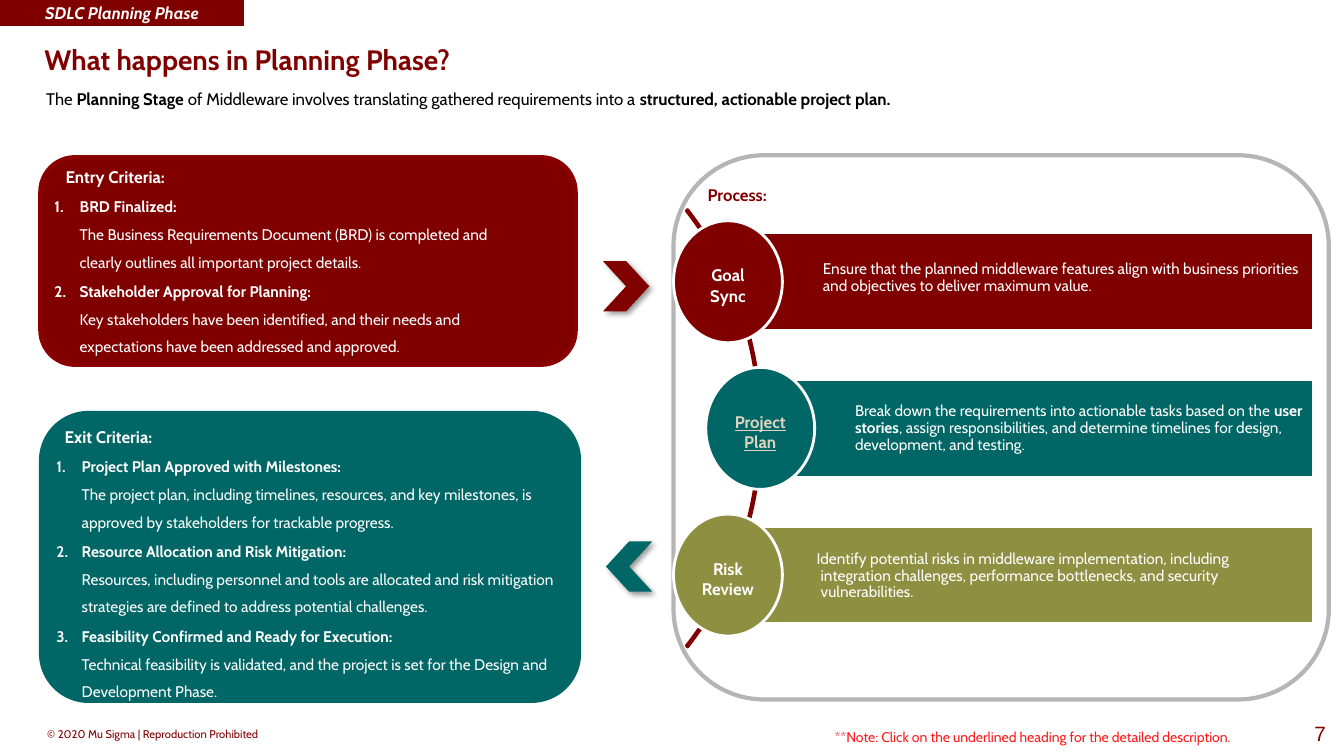
from lxml.etree import SubElement
from pptx import Presentation
from pptx.dml.color import RGBColor
from pptx.enum.shapes import MSO_SHAPE
from pptx.enum.text import MSO_ANCHOR, MSO_AUTO_SIZE, PP_ALIGN
from pptx.oxml.ns import qn
from pptx.util import Inches, Pt

COLORS = {
    "maroon": "800000", "dark_red": "8B0000", "teal": "006666", "olive": "8F8F42",
    "grey": "B5B5B5", "white": "FFFFFF", "off_white": "F2F2F2", "black": "000000",
    "sand": "DED4BF", "red": "FF1A1A",
}

ENTRY = [
    ("BRD Finalized:",
     "The Business Requirements Document (BRD) is completed and clearly outlines all "
     "important project details."),
    ("Stakeholder Approval for Planning:",
     "Key stakeholders have been identified, and their needs and expectations have been "
     "addressed and approved."),
]
EXIT = [
    ("Project Plan Approved with Milestones:",
     "The project plan, including timelines, resources, and key milestones, is approved by "
     "stakeholders for trackable progress."),
    ("Resource Allocation and Risk Mitigation:",
     "Resources, including personnel and tools are allocated and risk mitigation strategies "
     "are defined to address potential challenges."),
    ("Feasibility Confirmed and Ready for Execution:",
     "Technical feasibility is validated, and the project is set for the Design and "
     "Development Phase."),
]
# Each step: heading, colour, heading format, shift right, bar margins (l, t, r, b), hanging, runs
STEPS = [
    ("Goal\nSync", "maroon", {}, 0, (0.94, 0.03, 0.03, 0.1), 0,
     [("Ensure that the planned middleware features align with business priorities and "
       "objectives to deliver maximum value.", {})]),
    ("Project\nPlan", "teal", {"color": "sand", "underline": True}, 0.32,
     (0.94, 0.03, 0.03, 0.03), 0,
     [("Break down the requirements into actionable tasks based on the ", {}),
      ("user stories", {"bold": True}),
      (", assign responsibilities, and determine timelines for design, development, "
       "and testing.", {})]),
    ("Risk\nReview", "olive", {}, 0, (0.92, 0.05, 0.51, 0.03), 0.04,
     [("Identify potential risks in middleware implementation, including integration "
       "challenges, performance bottlenecks, and security vulnerabilities.", {})]),
]


def rgb(name):
    return RGBColor.from_string(COLORS[name])


def add_runs(p, runs, **base):
    """Add (text, format) runs to a paragraph; a newline becomes a line break."""
    for text, extra in runs:
        fmt = {"name": "Cabin", "size": 11, "color": "white", "bold": False, **base, **extra}
        for i, line in enumerate(text.split("\n")):
            if i:
                p.add_line_break()
            r = p.add_run()
            r.text = line
            for key, value in fmt.items():
                if key == "color":
                    r.font.color.rgb = rgb(value)
                else:
                    setattr(r.font, key, Pt(value) if key == "size" else value)


def set_frame(tf, margins=(0.1, 0.05, 0.1, 0.05), anchor=MSO_ANCHOR.TOP):
    tf.word_wrap, tf.auto_size, tf.vertical_anchor = True, MSO_AUTO_SIZE.NONE, anchor
    for side, value in zip(("left", "top", "right", "bottom"), margins):
        setattr(tf, f"margin_{side}", Inches(value))


def set_indent(p, left, first=0):
    pPr = p._p.get_or_add_pPr()
    pPr.set("marL", str(Inches(left)))
    pPr.set("indent", str(Inches(first)))
    return pPr


def add_shape(s, kind, box, fill=None, line=None, width=2):
    sp = s.shapes.add_shape(kind, *map(Inches, box))
    sp.shadow.inherit = False
    if fill:
        sp.fill.solid()
        sp.fill.fore_color.rgb = rgb(fill)
    else:
        sp.fill.background()
    if line:
        sp.line.color.rgb = rgb(line)
        sp.line.width = Pt(width)
    else:
        sp.line.fill.background()
    return sp


def add_label(s, box, runs, align=PP_ALIGN.LEFT, margins=(0.1, 0.05, 0.1, 0.05), **fmt):
    tf = s.shapes.add_textbox(*map(Inches, box)).text_frame
    set_frame(tf, margins)
    tf.paragraphs[0].alignment = align
    add_runs(tf.paragraphs[0], runs, **fmt)


def place(sp, box):
    sp.left, sp.top, sp.width, sp.height = map(Inches, box)


def header(s):
    tag = add_shape(s, MSO_SHAPE.RECTANGLE, (0, 0, 2.42, 0.25), "maroon", "maroon", 0.75)
    set_frame(tag.text_frame, anchor=MSO_ANCHOR.MIDDLE)
    p = tag.text_frame.paragraphs[0]
    p.alignment = PP_ALIGN.CENTER
    add_runs(p, [("SDLC Planning Phase", {})], size=12, bold=True, italic=True)

    title = s.shapes.title
    place(title, (0.34, 0.37, 10.93, 0.44))
    set_frame(title.text_frame, anchor=MSO_ANCHOR.MIDDLE)
    p = title.text_frame.paragraphs[0]
    p.alignment = PP_ALIGN.LEFT
    add_runs(p, [("What happens in Planning Phase?", {})], size=20, color="maroon", bold=True)

    add_label(s, (0.36, 0.83, 12.08, 0.53), [
        ("The ", {}), ("Planning Stage ", {"bold": True}),
        ("of Middleware involves translating gathered requirements into a ", {}),
        ("structured, actionable project plan.", {"bold": True}),
    ], size=12, color="black")


def criteria_card(s, body, box, text_box, heading, items, fill, line, width, indent, number):
    """Rounded card with a heading and a numbered list in a body placeholder."""
    add_shape(s, MSO_SHAPE.ROUNDED_RECTANGLE, box, fill, line, width)
    body.element.getparent().append(body.element)  # bring the list in front of its card
    dx, dy, w, h = text_box
    place(body, (box[0] + dx, box[1] + dy, w, h))
    tf = body.text_frame
    set_frame(tf)
    p = tf.paragraphs[0]
    SubElement(set_indent(p, indent), qn("a:buNone"))
    p.space_before = Pt(0)
    add_runs(p, [(heading, {})], size=12, bold=True)
    for name, detail in items:
        p = tf.add_paragraph()
        pPr = set_indent(p, 0.25, -0.25)
        color = SubElement(pPr, qn("a:buClr"))
        SubElement(color, qn("a:srgbClr"), val=COLORS[number])
        SubElement(pPr, qn("a:buFont"), typeface="+mj-lt")
        SubElement(pPr, qn("a:buAutoNum"), type="arabicPeriod")
        p.line_spacing, p.space_before = 1.5, Pt(1.1)
        add_runs(p, [(name + "\n", {"bold": True}), (detail, {})])


def chevron(s, box, fill, rotation):
    sp = add_shape(s, MSO_SHAPE.CHEVRON, box, fill)
    sp.rotation = rotation
    effects = sp.element.spPr.find(qn("a:effectLst"))
    shadow = SubElement(effects, qn("a:outerShdw"), blurRad=str(Pt(4)), dist=str(Pt(3)),
                        dir="2700000", algn="tl", rotWithShape="0")
    color = SubElement(shadow, qn("a:srgbClr"), val=COLORS["black"])
    SubElement(color, qn("a:alpha"), val="40000")


def process_step(s, x, y, heading, fill, heading_fmt, margins, hanging, runs):
    bar_x = x + 0.54
    bar = add_shape(s, MSO_SHAPE.RECTANGLE, (bar_x, y + 0.12, 13.03 - bar_x, 0.97),
                    fill, "white")
    set_frame(bar.text_frame, margins, MSO_ANCHOR.MIDDLE)
    p = bar.text_frame.paragraphs[0]
    set_indent(p, 0, -hanging)
    if hanging:
        set_indent(p, hanging, -hanging)
        bar.text_frame.margin_left -= Inches(hanging)
    p.alignment, p.line_spacing = PP_ALIGN.LEFT, 0.9
    add_runs(p, runs)

    oval = add_shape(s, MSO_SHAPE.OVAL, (x, y, 1.08, 1.21), fill, "white")
    set_frame(oval.text_frame, (0, 0.12, 0, 0.05), MSO_ANCHOR.MIDDLE)
    p = oval.text_frame.paragraphs[0]
    p.alignment = PP_ALIGN.CENTER
    add_runs(p, [(heading, heading_fmt)], size=12, bold=True)


def process_panel(s, box):
    x, y, _, _ = box
    add_shape(s, MSO_SHAPE.ROUNDED_RECTANGLE, box, "white", "grey", 3)
    arc = add_shape(s, MSO_SHAPE.BLOCK_ARC, (x - 4.93, y - 0.56, 5.8, 6.54), None, "maroon")
    for i, value in enumerate((189, 27, 0.003)):  # from 315° to 45°, hairline thick
        arc.adjustments[i] = value
    for i, (heading, fill, fmt, shift, *rest) in enumerate(STEPS):
        process_step(s, x + shift, y + 0.65 + 2.91 * i / 2, heading, fill, fmt, *rest)
    add_label(s, (x + 0.24, y + 0.24, 1.75, 0.28), [("Process:", {})],
              size=12, color="maroon", bold=True)


def footer(s):
    add_label(s, (0.37, 7.17, 2.34, 0.24), [("© 2020 Mu Sigma | Reproduction Prohibited", {})],
              size=8, color="maroon")
    add_label(s, (7.68, 7.18, 5.12, 0.27),
              [("**Note: Click on the underlined heading for the detailed description.", {})],
              PP_ALIGN.CENTER, size=10, color="red")
    add_label(s, (12.8, 7.1, 0.35, 0.25), [("7", {})], PP_ALIGN.RIGHT, (0, 0.05, 0, 0),
              name="Arial", size=14.8, color="maroon")


def main():
    prs = Presentation()
    prs.slide_width, prs.slide_height = Inches(13.33), Inches(7.5)
    s = prs.slides.add_slide(prs.slide_layouts[3])
    header(s)
    criteria_card(s, s.placeholders[1], (0.4, 1.56, 5.31, 2.06), (0.04, 0.04, 4.82, 1.97),
                  "Entry Criteria:", ENTRY, "maroon", "dark_red", 3, 0.11, "white")
    criteria_card(s, s.placeholders[2], (0.4, 4.09, 5.35, 2.87), (0.06, 0.09, 5.33, 2.82),
                  "Exit Criteria:", EXIT, "teal", "teal", 2, 0.08, "off_white")
    chevron(s, (5.98, 2.59, 0.46, 0.5), "maroon", 0)
    chevron(s, (6.01, 5.37, 0.46, 0.5), "teal", 180)
    process_panel(s, (6.68, 1.54, 6.5, 5.4))
    footer(s)
    prs.save("out.pptx")


if __name__ == "__main__":
    main()
